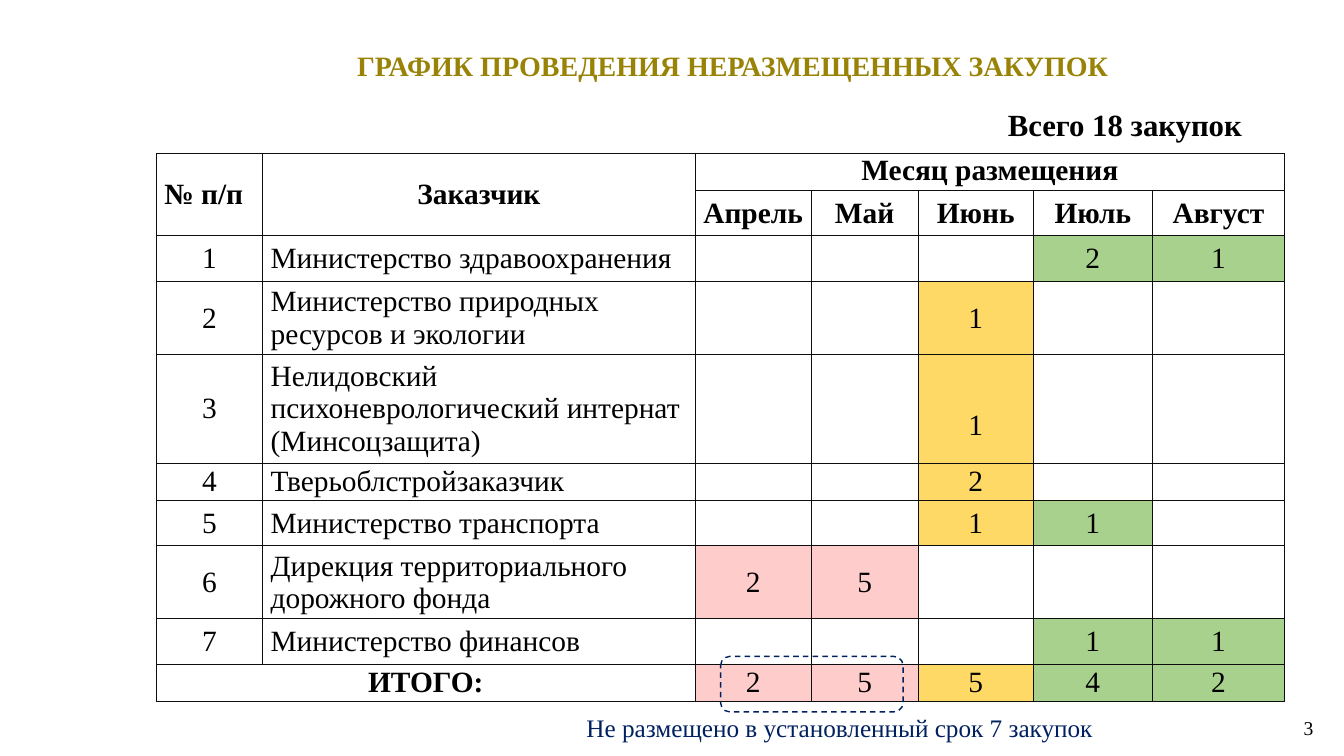
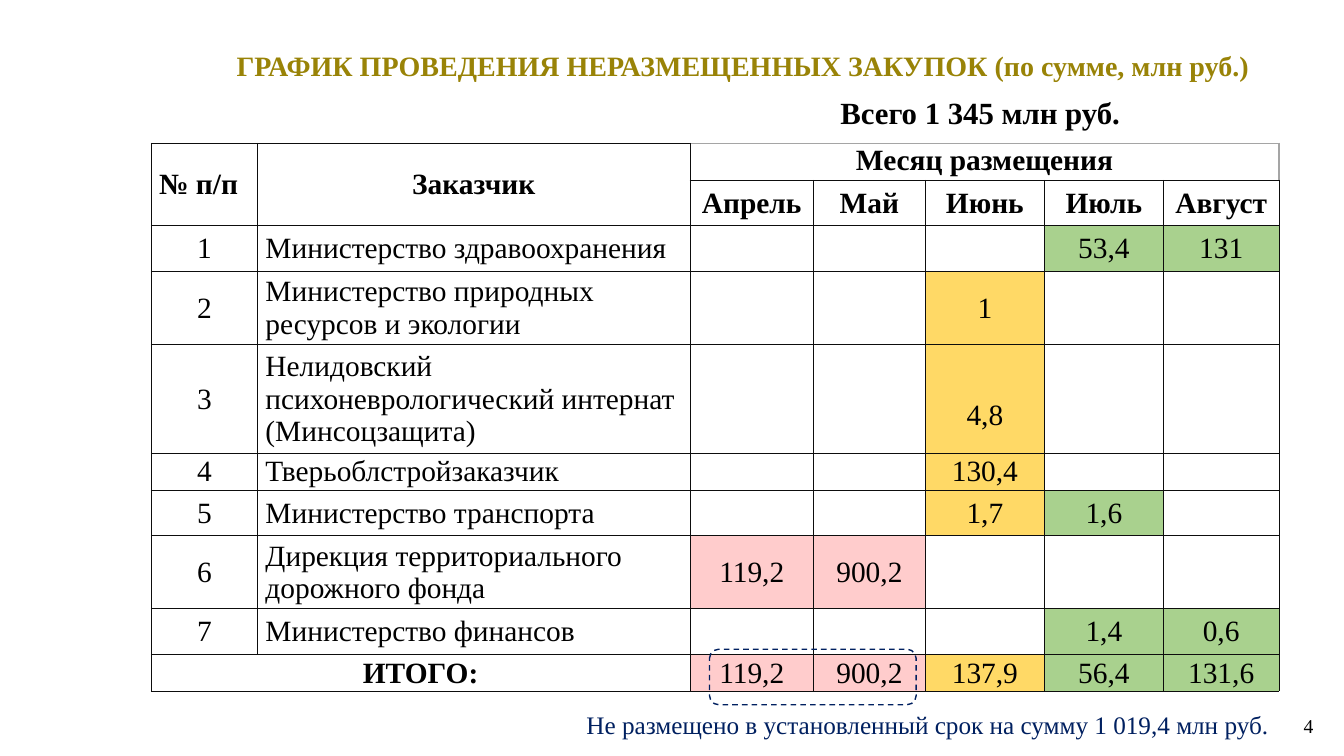
from lxml import etree
from pptx import Presentation
from pptx.dml.color import RGBColor
from pptx.enum import dml, shapes, text
from pptx.oxml.ns import qn
from pptx.util import Cm, Pt

FONT = "Times New Roman"
BLACK = RGBColor(0x00, 0x00, 0x00)
WHITE = RGBColor(0xFF, 0xFF, 0xFF)
GOLD = RGBColor(0x99, 0x83, 0x07)
NAVY = RGBColor(0x00, 0x20, 0x60)
INK = RGBColor(0x0D, 0x0D, 0x0D)
GREY = RGBColor(0xA5, 0xA5, 0xA5)
PINK = RGBColor(0xFF, 0xCC, 0xCC)
YELLOW = RGBColor(0xFF, 0xD9, 0x66)
GREEN = RGBColor(0xA9, 0xD1, 0x8E)

LEFT, CENTER, RIGHT = text.PP_ALIGN.LEFT, text.PP_ALIGN.CENTER, text.PP_ALIGN.RIGHT
TOP, MIDDLE = text.MSO_ANCHOR.TOP, text.MSO_ANCHOR.MIDDLE

MONTHS = ["Апрель", "Май", "Июнь", "Июль", "Август"]
MONTH_FILLS = [PINK, PINK, YELLOW, GREEN, GREEN]
CUSTOMERS = [
    "Министерство здравоохранения",
    "Министерство природных ресурсов и экологии",
    "Нелидовский психоневрологический интернат (Минсоцзащита)",
    "Тверьоблстройзаказчик",
    "Министерство транспорта",
    "Дирекция территориального дорожного фонда",
    "Министерство финансов",
]
ROW_HEIGHTS = [0.93, 1.15, 1.15, 1.84, 2.74, 0.93, 1.15, 1.84, 1.15, 0.93]
LABEL_WIDTHS = [2.68, 10.9]
FIRST_MONTH = len(LABEL_WIDTHS)
LOWERED_ROW = 4

SLIDES = [
    {
        "title": "ГРАФИК ПРОВЕДЕНИЯ НЕРАЗМЕЩЕННЫХ ЗАКУПОК",
        "title_box": (5.74, 1.09, 25.45, 1.45),
        "total": "Всего 18 закупок",
        "total_box": (25.15, 2.54, 7.6, 1.2),
        "table_at": (3.94, 3.86),
        "month_widths": [2.92, 2.7, 2.9, 3, 3.33],
        "values": [
            ["", "", "", "2", "1"],
            ["", "", "1", "", ""],
            ["", "", "1", "", ""],
            ["", "", "2", "", ""],
            ["", "", "1", "1", ""],
            ["2", "5", "", "", ""],
            ["", "", "", "1", "1"],
            ["2", "5", "5", "4", "2"],
        ],
        "month_edge": (INK, 0.5),
        "marker_box": (18.16, 16.54, 4.6, 1.4),
        "note": "Не размещено в установленный срок 7 закупок",
        "note_box": (14.53, 17.83, 15.6, 1.02),
        "number": "3",
        "number_box": (25.73, 17.83, 7.62, 1.02),
    },
    {
        "title": "ГРАФИК ПРОВЕДЕНИЯ НЕРАЗМЕЩЕННЫХ ЗАКУПОК (по сумме, млн руб.)",
        "title_box": (4.52, 1.09, 28.4, 1.45),
        "total": "Всего 1 345 млн руб.",
        "total_box": (20.93, 2.24, 7.77, 1.2),
        "table_at": (3.81, 3.61),
        "month_widths": [3.11, 2.82, 3, 3, 2.91],
        "values": [
            ["", "", "", "53,4", "131"],
            ["", "", "1", "", ""],
            ["", "", "4,8", "", ""],
            ["", "", "130,4", "", ""],
            ["", "", "1,7", "1,6", ""],
            ["119,2", "900,2", "", "", ""],
            ["", "", "", "1,4", "0,6"],
            ["119,2", "900,2", "137,9", "56,4", "131,6"],
        ],
        "month_edge": (GREY, 1),
        "marker_box": (17.88, 16.36, 5.21, 1.4),
        "note": "Не размещено в установленный срок на сумму 1 019,4 млн руб.",
        "note_box": (14.53, 17.75, 17.73, 1.02),
        "number": "4",
        "number_box": (25.73, 17.78, 7.62, 1.02),
    },
]


def cm(values):
    return [Cm(v) for v in values]


def write(tf, content, size, color=BLACK, bold=False, align=LEFT):
    tf.text = content
    p = tf.paragraphs[0]
    p.alignment = align
    for r in p.runs:
        r.font.name = FONT
        r.font.size = Pt(size)
        r.font.bold = bold
        r.font.color.rgb = color


def add_label(s, box, content, size, anchor=TOP, **style):
    tf = s.shapes.add_textbox(*cm(box)).text_frame
    tf.word_wrap = True
    tf.vertical_anchor = anchor
    write(tf, content, size, **style)


def add_title(s, box, content):
    sp = s.shapes.title
    sp.left, sp.top, sp.width, sp.height = cm(box)
    tf = sp.text_frame
    tf.auto_size = text.MSO_AUTO_SIZE.NONE
    tf.vertical_anchor = TOP
    write(tf, content, 20, GOLD, True, CENTER)


def set_borders(cell, edges):
    tc_pr = cell._tc.get_or_add_tcPr()
    for side in "LRTB":
        color, width = edges.get(side, (INK, 0.5))
        ln = etree.SubElement(tc_pr, qn(f"a:ln{side}"), w=str(Pt(width)))
        fill = etree.SubElement(ln, qn("a:solidFill"))
        etree.SubElement(fill, qn("a:srgbClr"), val=str(color))


def table_rows(values):
    blank = [""] * (len(MONTHS) - 1)
    rows = [["№ п/п", "Заказчик", "Месяц размещения"] + blank, ["", ""] + MONTHS]
    rows += [[str(n), name] + v for n, (name, v) in enumerate(zip(CUSTOMERS, values), 1)]
    return rows + [["ИТОГО:", ""] + values[-1]]


def add_schedule(s, data):
    rows = table_rows(data["values"])
    widths = LABEL_WIDTHS + data["month_widths"]
    frame = s.shapes.add_table(len(rows), len(widths), *cm(data["table_at"]),
                               Cm(sum(widths)), Cm(sum(ROW_HEIGHTS)))
    table = frame.table
    table.first_row = table.horz_banding = False
    for column, width in zip(table.columns, widths):
        column.width = Cm(width)
    for row, height in zip(table.rows, ROW_HEIGHTS):
        row.height = Cm(height)

    last = len(rows) - 1
    for i, row in enumerate(rows):
        for j, content in enumerate(row):
            cell = table.cell(i, j)
            is_month = j >= FIRST_MONTH
            is_name = j == 1 and 2 <= i < last
            is_corner = i == j == 0
            is_lowered = i == LOWERED_ROW and is_month and content
            cell.margin_left = Cm(0.2 if is_name or is_corner else 0.02)
            cell.margin_top = Cm(0.84 if is_lowered else 0.02)
            cell.margin_right, cell.margin_bottom = Cm(0.02), 0
            cell.vertical_anchor = TOP if i == 0 and is_month else MIDDLE
            edge = data["month_edge"]
            set_borders(cell, {"T": edge, "R": edge} if i == 0 and is_month else {})
            cell.fill.solid()
            tinted = is_month and i > 1 and content
            cell.fill.fore_color.rgb = MONTH_FILLS[j - FIRST_MONTH] if tinted else WHITE
            bold = i < 2 or (i == last and j == 0)
            write(cell.text_frame, content, 21, bold=bold,
                  align=LEFT if is_name or is_corner else CENTER)

    for start, end in [((0, 0), (1, 0)), ((0, 1), (1, 1)),
                       ((0, FIRST_MONTH), (0, len(widths) - 1)), ((last, 0), (last, 1))]:
        table.cell(*start).merge(table.cell(*end))


def add_marker(s, box):
    sp = s.shapes.add_shape(shapes.MSO_SHAPE.ROUNDED_RECTANGLE, *cm(box))
    sp.shadow.inherit = False
    sp.fill.background()
    sp.line.color.rgb = NAVY
    sp.line.width = Pt(1)
    sp.line.dash_style = dml.MSO_LINE.DASH


def main():
    prs = Presentation()
    prs.slide_width, prs.slide_height = Cm(33.87), Cm(19.05)
    for data in SLIDES:
        s = prs.slides.add_slide(prs.slide_layouts[5])
        add_title(s, data["title_box"], data["title"])
        add_schedule(s, data)
        add_label(s, data["total_box"], data["total"], 22, bold=True)
        add_label(s, data["number_box"], data["number"], 14, MIDDLE, align=RIGHT)
        add_marker(s, data["marker_box"])
        add_label(s, data["note_box"], data["note"], 18, color=NAVY)
    prs.save("out.pptx")


if __name__ == "__main__":
    main()
